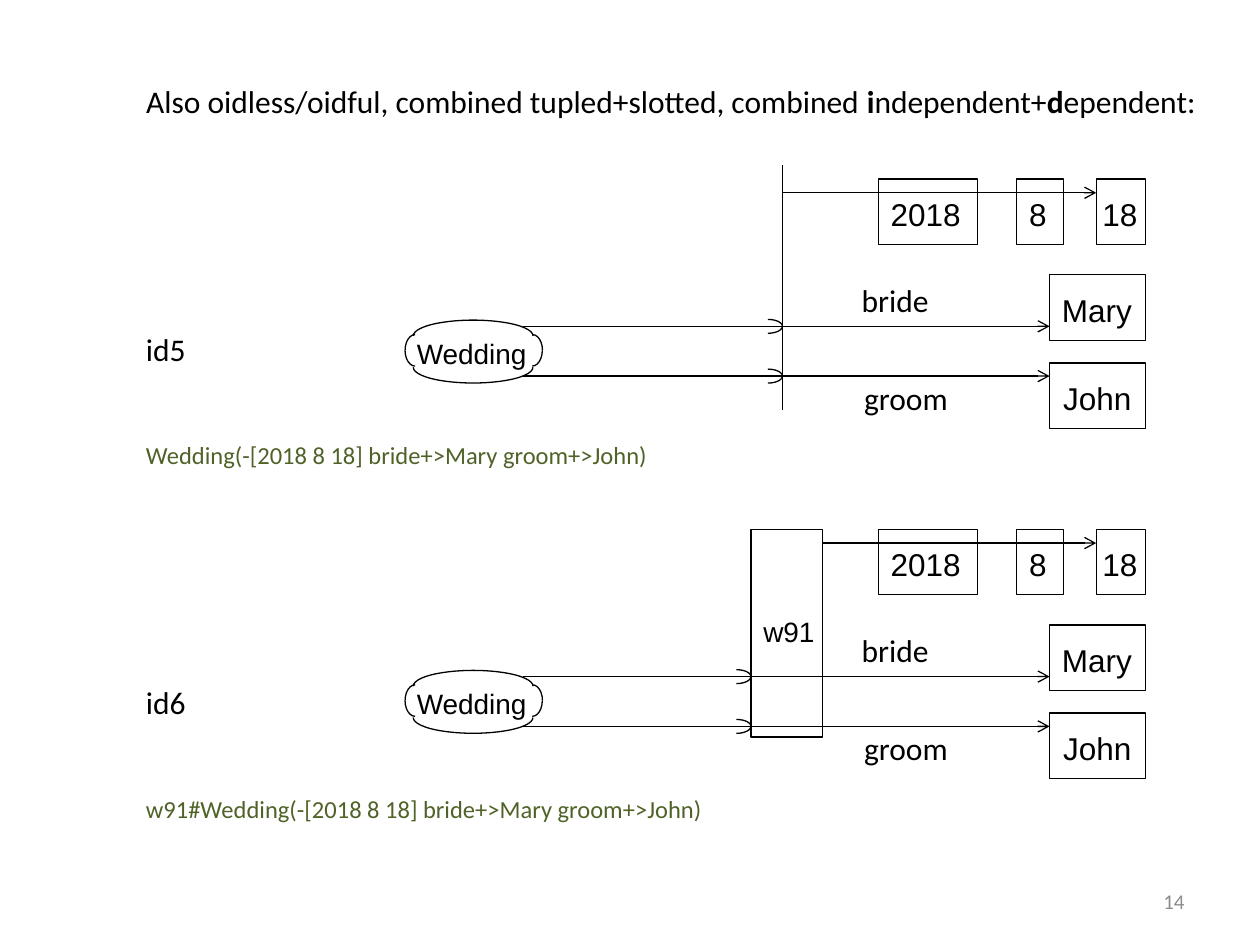
"""Build the slide of oidless and oidful Wedding graphs with tupled and slotted dependents."""
from lxml.etree import SubElement
from pptx import Presentation
from pptx.dml.color import RGBColor
from pptx.enum.shapes import MSO_CONNECTOR, MSO_SHAPE
from pptx.enum.text import MSO_ANCHOR, MSO_AUTO_SIZE, PP_ALIGN
from pptx.oxml.ns import qn
from pptx.util import Inches, Pt

prs = Presentation()
prs.slide_width, prs.slide_height = Inches(10), Inches(7.5)
COL, ROW = prs.slide_width / 10, prs.slide_height / 7.5
slide = prs.slides.add_slide(prs.slide_layouts[5])
BLACK, GREEN, GREY = "000000", "4F6228", "8C8C8C"


def place(col, row, cols, rows):
    """Turn grid units into slide lengths."""
    return [round(v) for v in (col * COL, row * ROW, cols * COL, rows * ROW)]


def write(sp, runs, size=18, font="Calibri", color=BLACK, wrap=False):
    """Fill a text holder with (text, bold) runs in one paragraph."""
    tf = sp.text_frame
    frame = {"word_wrap": wrap, "auto_size": MSO_AUTO_SIZE.SHAPE_TO_FIT_TEXT,
             "vertical_anchor": MSO_ANCHOR.TOP}
    for name, value in frame.items():
        setattr(tf, name, value)
    p = tf.paragraphs[0]
    p.alignment = PP_ALIGN.LEFT
    for text, bold in runs:
        r = p.add_run()
        r.text = text
        for name, value in {"size": Pt(size), "name": font, "bold": bold}.items():
            setattr(r.font, name, value)
        r.font.color.rgb = RGBColor.from_string(color)
    return tf


title = slide.shapes.title
title.left, title.top, title.width, title.height = place(1.06, 0.6, 8.7, 0.4)
write(title, [("Also oidless/oidful, combined tupled+slotted, combined ", False), ("i", True),
              ("ndependent+", False), ("d", True), ("ependent:", False)])

lines, arcs, boxes = [((6.21, 1.31), (6.21, 3.25), False)], [], [(5.96, 4.2, 0.57, 1.65)]
labels = [("w91", (5.96, 4.83, 0.61, 0.47), 16, "Arial", BLACK, True)]
blocks = [
    (0, 6.21, 6.21, "id5", 2.57, "Wedding(-[2018 8 18] bride+>Mary groom+>John)", 3.44, 4.22),
    (2.78, 5.96, 6.53, "id6", 5.37, "w91#Wedding(-[2018 8 18] bride+>Mary groom+>John)", 6.25, 4.66),
]
for dy, node_left, node_right, name, name_row, formula, formula_row, formula_cols in blocks:
    lines.append(((node_right, 1.53 + dy), (8.7, 1.53 + dy), True))
    for row in (2.59 + dy, 2.985 + dy):
        lines.append(((4.15, row), (node_left, row), False))
        lines.append(((node_left, row), (8.33, row), True))
        arcs.append((node_left - 0.17, row - 0.115, 0.11, 0.23, 270))
    arcs += [(3.28, 2.54 + dy, 0.95, 0.25, 180), (3.28, 2.79 + dy, 0.95, 0.25, 0),
             (4.1, 2.7 + dy, 0.25, 0.16, 270), (3.17, 2.7 + dy, 0.25, 0.16, 90)]
    for text, col, row, cols, text_col, text_cols in [
            ("2018", 6.97, 1.42, 0.79, 6.97, 0.79), ("8", 8.07, 1.42, 0.37, 8.07, 0.37),
            ("18", 8.7, 1.42, 0.39, 8.65, 0.52), ("Mary", 8.33, 2.18, 0.76, 8.33, 0.76),
            ("John", 8.33, 2.88, 0.76, 8.34, 0.76)]:
        boxes.append((col, row + dy, cols, 0.52))
        labels.append((text, (text_col, row + dy + 0.08, text_cols, 0.4), 18, "Arial", BLACK, True))
    labels += [
        ("Wedding", (3.21, 2.62 + dy, 1.08, 0.37), 16, "Arial", BLACK, False),
        ("bride", (6.74, 2.18 + dy, 0.74, 0.4), 18, "Calibri", BLACK, False),
        ("groom", (6.76, 2.96 + dy, 0.87, 0.4), 18, "Calibri", BLACK, False),
        (name, (1.06, name_row, 0.52, 0.4), 18, "Calibri", BLACK, False),
        (formula, (1.06, formula_row, formula_cols, 0.34), 14, "Calibri", GREEN, False),
    ]

outlined = []
for start, end, arrow in lines:
    s = slide.shapes.add_connector(MSO_CONNECTOR.STRAIGHT, *place(*start, *end))
    SubElement(s._element.spPr, qn("a:effectLst"))
    outlined.append((s, arrow))
for *cells, angle in arcs:
    for flips in (["flipV"], ["flipH", "flipV"]):
        s = slide.shapes.add_shape(MSO_SHAPE.ARC, *place(*cells))
        s.rotation = angle
        for flip in flips:
            s._element.spPr.find(qn("a:xfrm")).set(flip, "1")
        outlined.append((s, False))
for cells in boxes:
    outlined.append((slide.shapes.add_shape(MSO_SHAPE.RECTANGLE, *place(*cells)), False))

for s, arrow in outlined:
    s.line.width = Pt(0.75)
    s.line.color.rgb = RGBColor.from_string(BLACK)
    if arrow:
        SubElement(s.line._get_or_add_ln(), qn("a:tailEnd"), type="arrow")
    if hasattr(s, "fill"):
        s.fill.background()
        s.shadow.inherit = False

for text, cells, size, font, color, wrap in labels:
    write(slide.shapes.add_textbox(*place(*cells)), [(text, False)], size, font, color, wrap)

number = slide.shapes.add_textbox(*place(7.17, 6.95, 2.33, 0.4))
tf = write(number, [("14", False)], 12, color=GREY, wrap=True)
tf.auto_size, tf.vertical_anchor = MSO_AUTO_SIZE.NONE, MSO_ANCHOR.MIDDLE
tf.paragraphs[0].alignment = PP_ALIGN.RIGHT

prs.save("out.pptx")
